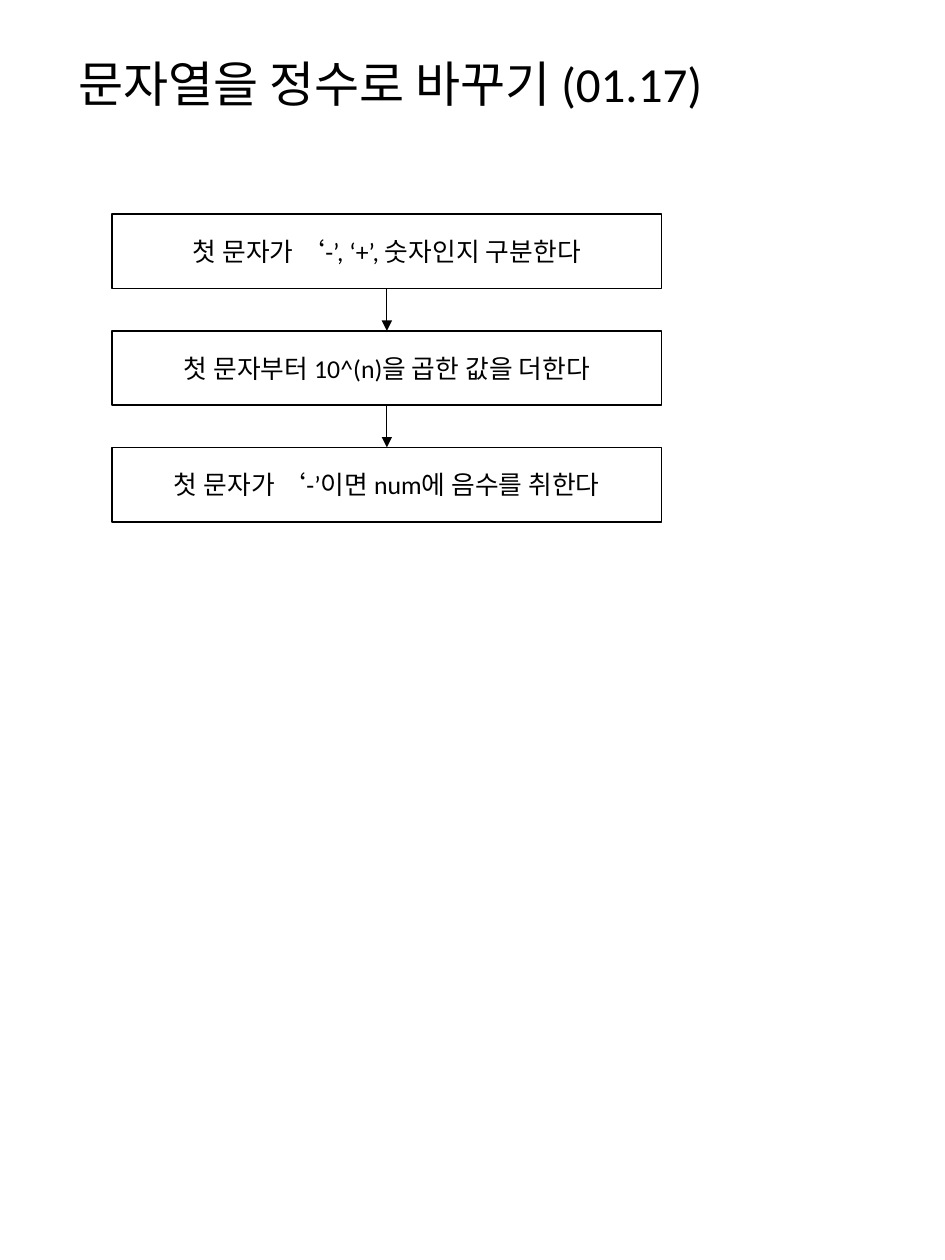
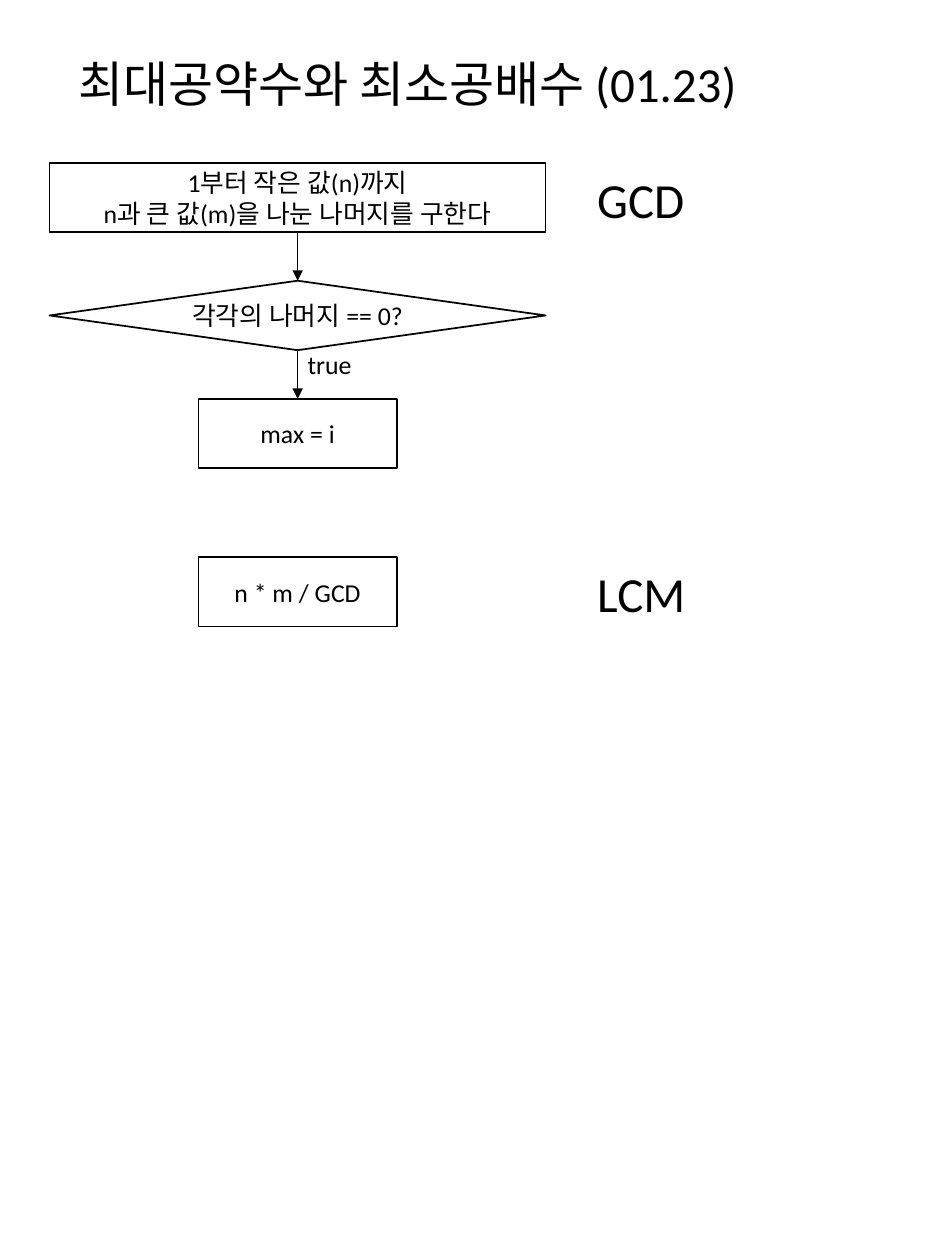
from dataclasses import dataclass

from lxml.etree import SubElement
from pptx import Presentation
from pptx.dml.color import RGBColor
from pptx.enum.shapes import MSO_CONNECTOR, MSO_SHAPE
from pptx.enum.text import MSO_ANCHOR, MSO_AUTO_SIZE, PP_ALIGN
from pptx.oxml.ns import qn
from pptx.util import Cm, Pt


@dataclass(frozen=True)
class Theme:
    font: str = "Calibri"
    ink: RGBColor = RGBColor(0, 0, 0)
    large: float = 28
    body: float = 14.7
    outline: float = 1
    arrow: float = 0.5
    inset: float = 0.13


THEME = Theme()
RECT, DIAMOND = MSO_SHAPE.RECTANGLE, MSO_SHAPE.DIAMOND
TITLE_ONLY = 5
TITLE_AREA = (1.32, 0.97, 16.43, 1.55)

# Lengths are in centimetres; each step is (preset, width, text).
ATOI_TITLE = "문자열을 정수로 바꾸기 (01.17)"
ATOI_CENTRE, ATOI_TOP, ATOI_HEIGHT, ATOI_PITCH = 7.8, 4.32, 1.5, 2.35
ATOI_STEPS = [
    (RECT, 11.07, "첫 문자가 ‘-’, ‘+’, 숫자인지 구분한다"),
    (RECT, 11.07, "첫 문자부터 10^(n)을 곱한 값을 더한다"),
    (RECT, 11.07, "첫 문자가 ‘-’이면 num에 음수를 취한다"),
]

DIVISOR_TITLE = "최대공약수와 최소공배수 (01.23)"
DIVISOR_CENTRE, DIVISOR_HEIGHT, DIVISOR_PITCH = 6, 1.4, 2.38
GCD_TOP, LCM_TOP, LABEL_LEFT = 3.28, 11.23, 11.91
GCD_STEPS = [
    (RECT, 10, "1부터 작은 값(n)까지\nn과 큰 값(m)을 나눈 나머지를 구한다"),
    (DIAMOND, 10, "각각의 나머지 == 0?"),
    (RECT, 4, "max = i"),
]
LCM_STEPS = [(RECT, 4, "n * m / GCD")]
DIVISOR_LABELS = [
    ("true", 6.07, 6.91, 1.17, 0.89, THEME.body),
    ("GCD", LABEL_LEFT, GCD_TOP, 2.04, 1.47, THEME.large),
    ("LCM", LABEL_LEFT, LCM_TOP, 2.04, 1.47, THEME.large),
]


def write(box, text, size, align=PP_ALIGN.LEFT, anchor=MSO_ANCHOR.MIDDLE, spacing=1.0):
    frame = box.text_frame
    frame.text = text
    frame.vertical_anchor = anchor
    for para in frame.paragraphs:
        para.alignment = align
        para.line_spacing = spacing
        for span in para.runs:
            span.font.name = THEME.font
            span.font.size = Pt(size)
            span.font.color.rgb = THEME.ink
    return frame


def set_insets(frame):
    frame.margin_left = frame.margin_right = Cm(THEME.inset)
    frame.margin_top = frame.margin_bottom = Cm(THEME.inset)


def add_page(deck, heading):
    page = deck.slides.add_slide(deck.slide_layouts[TITLE_ONLY])
    title = page.shapes.title
    title.left, title.top, title.width, title.height = map(Cm, TITLE_AREA)
    frame = write(title, heading, THEME.large, spacing=0.9)
    frame.auto_size = MSO_AUTO_SIZE.NONE
    return page


def add_step(page, preset, centre, top, width, height, text):
    box = page.shapes.add_shape(
        preset, Cm(centre - width / 2), Cm(top), Cm(width), Cm(height))
    box.shadow.inherit = False
    box.fill.background()
    box.line.color.rgb = THEME.ink
    box.line.width = Pt(THEME.outline)
    set_insets(write(box, text, THEME.body, PP_ALIGN.CENTER))
    return box


def add_arrow(page, upper, lower):
    arrow = page.shapes.add_connector(MSO_CONNECTOR.STRAIGHT, 0, 0, 0, 0)
    arrow.begin_connect(upper, 2)
    arrow.end_connect(lower, 0)
    arrow.line.color.rgb = THEME.ink
    arrow.line.width = Pt(THEME.arrow)
    SubElement(arrow.line._get_or_add_ln(), qn("a:tailEnd"), type="triangle")
    SubElement(arrow._element.spPr, qn("a:effectLst"))


def add_flow(page, steps, centre, top, height, pitch):
    """Stack the steps at an equal pitch and join each to the next."""
    boxes = [add_step(page, preset, centre, top + row * pitch, width, height, text)
             for row, (preset, width, text) in enumerate(steps)]
    for upper, lower in zip(boxes, boxes[1:]):
        add_arrow(page, upper, lower)


def add_label(page, text, left, top, width, height, size):
    box = page.shapes.add_textbox(Cm(left), Cm(top), Cm(width), Cm(height))
    frame = write(box, text, size, anchor=MSO_ANCHOR.TOP)
    set_insets(frame)
    frame.word_wrap = False
    frame.auto_size = MSO_AUTO_SIZE.SHAPE_TO_FIT_TEXT


def main():
    deck = Presentation()
    deck.slide_width, deck.slide_height = Cm(19.05), Cm(25.4)

    page = add_page(deck, ATOI_TITLE)
    add_flow(page, ATOI_STEPS, ATOI_CENTRE, ATOI_TOP, ATOI_HEIGHT, ATOI_PITCH)

    page = add_page(deck, DIVISOR_TITLE)
    for steps, top in ((GCD_STEPS, GCD_TOP), (LCM_STEPS, LCM_TOP)):
        add_flow(page, steps, DIVISOR_CENTRE, top, DIVISOR_HEIGHT, DIVISOR_PITCH)
    for label in DIVISOR_LABELS:
        add_label(page, *label)

    deck.save("out.pptx")


if __name__ == "__main__":
    main()
